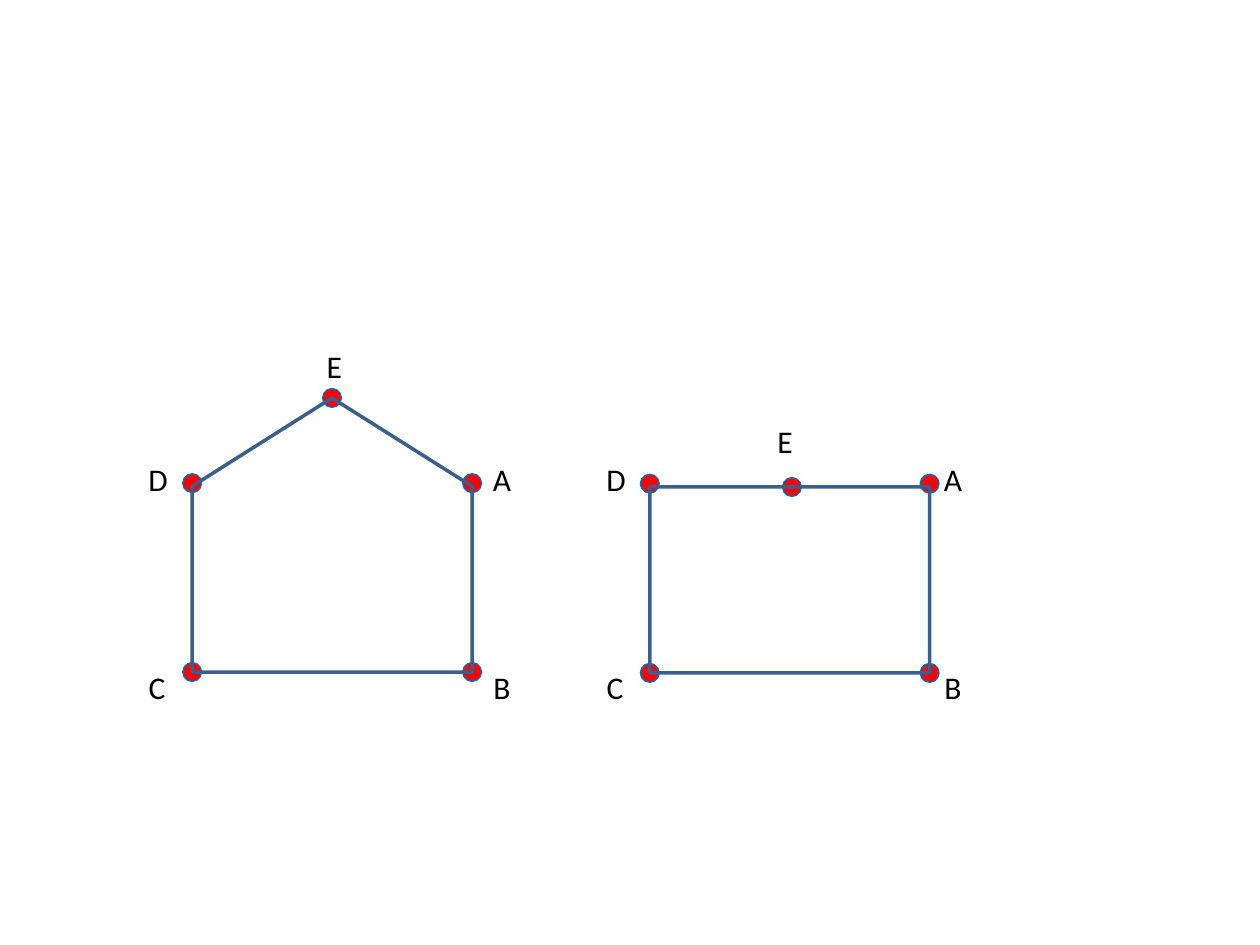
from pptx import Presentation
from pptx.dml.color import RGBColor
from pptx.enum.shapes import MSO_SHAPE
from pptx.enum.text import MSO_ANCHOR, PP_ALIGN
from pptx.util import Pt

RED = RGBColor(0xFF, 0x00, 0x00)
BLUE = RGBColor(0x00, 0x70, 0xC0)
STEEL = RGBColor(0x3A, 0x5F, 0x8C)
BLACK = RGBColor(0x00, 0x00, 0x00)

DOT_SIZE = 10.8
LABEL_SIZE = 28
CORNER_DROP = 1.8  # the outline meets the upper corners just below the dot centres

PENTAGON_POINTS = {
    "D": (109.8, 276.1), "E": (189.7, 227.4), "A": (269.8, 276.1),
    "B": (269.8, 384), "C": (109.8, 384),
}
PENTAGON_LABELS = {
    "D": (90.3, 273.7), "E": (191, 209.2), "A": (286.9, 273.7),
    "B": (286.9, 392.6), "C": (89.7, 392.6),
}
RECTANGLE_POINTS = {
    "D": (371.3, 276.4), "E": (452.5, 278.3), "A": (531.2, 276.4),
    "B": (531.2, 384.5), "C": (371.3, 384.5),
}
RECTANGLE_LABELS = {
    "D": (352, 273.7), "E": (448.6, 252), "A": (544.6, 273.7),
    "B": (544.6, 392.6), "C": (351.5, 392.6),
}


def centred_frame(center, size):
    """Return left, top, width and height of a square around a centre."""
    x, y = center
    return Pt(x - size / 2), Pt(y - size / 2), Pt(size), Pt(size)


def add_dot(shapes, center):
    dot = shapes.add_shape(MSO_SHAPE.OVAL, *centred_frame(center, DOT_SIZE))
    dot.shadow.inherit = False
    dot.fill.solid()
    dot.fill.fore_color.rgb = RED
    dot.line.color.rgb = BLUE
    dot.line.width = Pt(0.75)


def add_outline(shapes, points):
    corners = [
        (Pt(x), Pt(y + CORNER_DROP if name in "DA" else y))
        for name, (x, y) in points.items()
    ]
    builder = shapes.build_freeform(*corners[0], scale=1.0)
    builder.add_line_segments(corners[1:], close=True)
    outline = builder.convert_to_shape()
    outline.shadow.inherit = False
    outline.fill.background()
    outline.line.color.rgb = STEEL
    outline.line.width = Pt(2)


def add_label(shapes, text, center, size=18, font="Calibri", color=BLACK):
    box = shapes.add_textbox(*centred_frame(center, LABEL_SIZE))
    frame = box.text_frame
    frame.word_wrap = True
    frame.vertical_anchor = MSO_ANCHOR.MIDDLE
    frame.margin_left = frame.margin_right = 0
    frame.margin_top = frame.margin_bottom = 0
    para = frame.paragraphs[0]
    para.alignment = PP_ALIGN.CENTER
    span = para.add_run()
    span.text = text
    span.font.size = Pt(size)
    span.font.name = font
    span.font.color.rgb = color


def add_figure(slide, points, labels):
    """Group a closed polygon with its vertex dots and letters."""
    shapes = slide.shapes.add_group_shape().shapes
    for center in points.values():
        add_dot(shapes, center)
    add_outline(shapes, points)
    for text, center in labels.items():
        add_label(shapes, text, center)


def main():
    deck = Presentation()
    deck.slide_width, deck.slide_height = Pt(720), Pt(540)
    slide = deck.slides.add_slide(deck.slide_layouts[6])
    add_figure(slide, PENTAGON_POINTS, PENTAGON_LABELS)
    add_figure(slide, RECTANGLE_POINTS, RECTANGLE_LABELS)
    deck.save("out.pptx")


if __name__ == "__main__":
    main()
